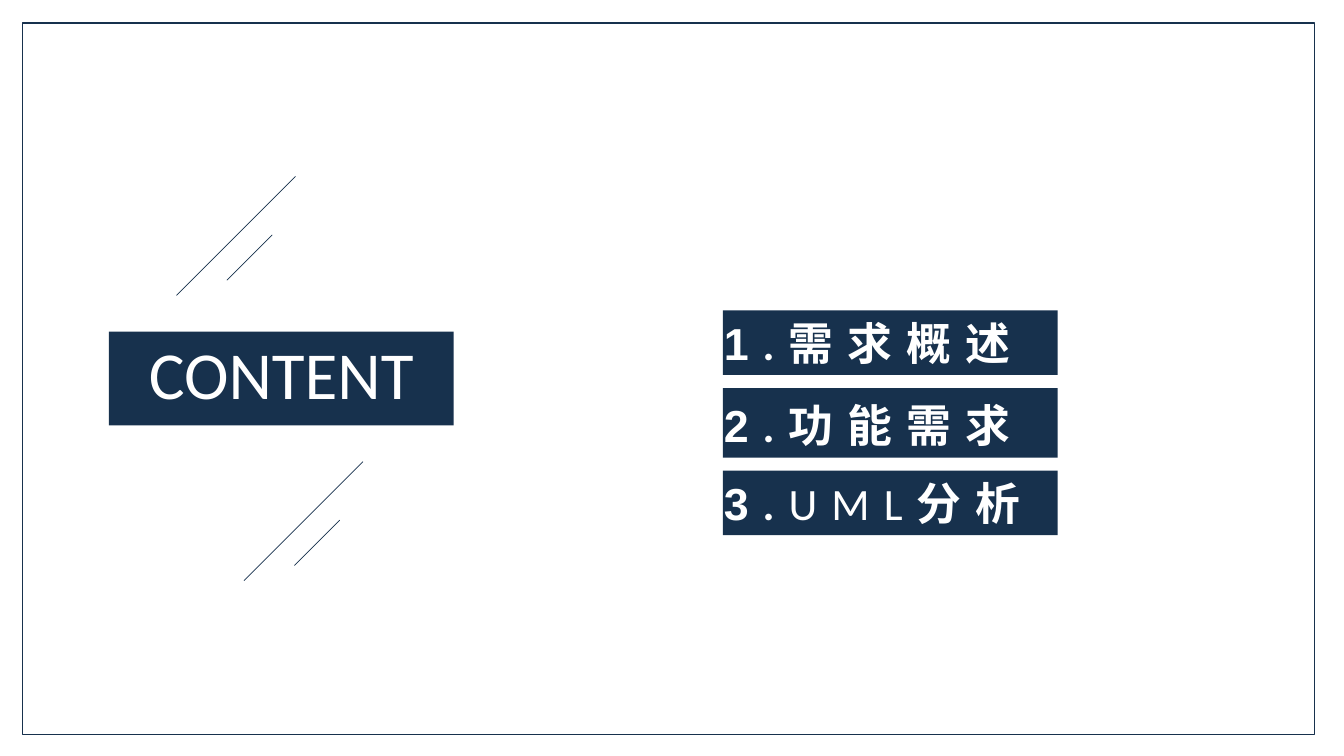
from dataclasses import dataclass

from lxml import etree
from pptx import Presentation
from pptx import util as u
from pptx.dml.color import RGBColor
from pptx.enum import shapes, text
from pptx.oxml import ns


@dataclass(frozen=True)
class Theme:
    navy: RGBColor = RGBColor(0x17, 0x31, 0x4D)
    white: RGBColor = RGBColor(0xFF, 0xFF, 0xFF)
    digit_font: str = "Arial"
    body_font: str = "Calibri"
    title_size: int = 48
    item_size: int = 32
    item_spacing: int = 10
    frame_line: float = 0.96
    stroke_line: float = 0.48


THEME = Theme()

ITEMS = [
    (3.08, 0.64, 3.08, [("1", THEME.digit_font, True), (".需求概述", THEME.body_font, True)]),
    (3.85, 0.69, 3.90, [("2", THEME.digit_font, True), (".功能需求", THEME.body_font, True)]),
    (4.67, 0.64, 4.67, [("3", THEME.digit_font, True), (".", THEME.body_font, True),
                        ("UML", THEME.body_font, False), ("分析", THEME.body_font, True)]),
]


def inches(*lengths):
    return [u.Inches(n) for n in lengths]


def place(sp, *box):
    sp.left, sp.top, sp.width, sp.height = inches(*box)


def add_run(p, words, font, size, bold):
    r = p.add_run()
    r.text = words
    r.font.name = font
    r.font.size = u.Pt(size)
    r.font.bold = bold
    r.font.color.rgb = THEME.white
    return r


def add_rectangle(s, *box):
    sp = s.shapes.add_shape(shapes.MSO_SHAPE.RECTANGLE, *inches(*box))
    sp.shadow.inherit = False
    return sp


def add_frame(s, *box):
    sp = add_rectangle(s, *box)
    sp.fill.background()
    sp.line.color.rgb = THEME.navy
    sp.line.width = u.Pt(THEME.frame_line)


def add_title(s, *box):
    sp = s.shapes.title
    place(sp, *box)
    sp.fill.solid()
    sp.fill.fore_color.rgb = THEME.navy
    tf = sp.text_frame
    tf.auto_size = text.MSO_AUTO_SIZE.NONE
    tf.vertical_anchor = text.MSO_ANCHOR.MIDDLE
    tf.margin_top = 0
    tf.margin_bottom = u.Inches(0.11)
    p = tf.paragraphs[0]
    p.alignment = text.PP_ALIGN.CENTER
    add_run(p, "CONTENT", THEME.body_font, THEME.title_size, False)


def add_strokes(s, left, top, size):
    for dx, dy, length in ((0, 0, size), (0.5, 0.58, 0.45)):
        x, y = left + dx, top + dy
        line = s.shapes.add_connector(
            shapes.MSO_CONNECTOR.STRAIGHT, *inches(x + length, y, x, y + length))
        line.line.color.rgb = THEME.navy
        line.line.width = u.Pt(THEME.stroke_line)
        etree.SubElement(line._element.spPr, ns.qn("a:effectLst"))


def add_item(s, left, top, width, height, text_top, runs):
    bar = add_rectangle(s, left, top, width, height)
    bar.fill.solid()
    bar.fill.fore_color.rgb = THEME.navy
    bar.line.fill.background()

    label = s.shapes.add_textbox(*inches(left - 0.09, text_top, width, 0.64))
    tf = label.text_frame
    tf.word_wrap = True
    tf.auto_size = text.MSO_AUTO_SIZE.SHAPE_TO_FIT_TEXT
    p = tf.paragraphs[0]
    p.space_before = u.Pt(6)
    for words, font, bold in runs:
        r = add_run(p, words, font, THEME.item_size, bold)
        r.font._element.set("spc", str(THEME.item_spacing * 100))


def add_agenda(s, left, width):
    for top, height, text_top, runs in ITEMS:
        add_item(s, left, top, width, height, text_top, runs)


def main():
    prs = Presentation()
    prs.slide_width, prs.slide_height = inches(13.33, 7.5)
    s = prs.slides.add_slide(prs.slide_layouts[5])
    add_frame(s, 0.22, 0.23, 12.82, 7.06)
    add_title(s, 1.08, 3.29, 3.42, 0.93)
    for left, top in ((1.75, 1.75), (2.42, 4.58)):
        add_strokes(s, left, top, 1.18)
    add_agenda(s, 7.17, 3.32)
    prs.save("out.pptx")


if __name__ == "__main__":
    main()
